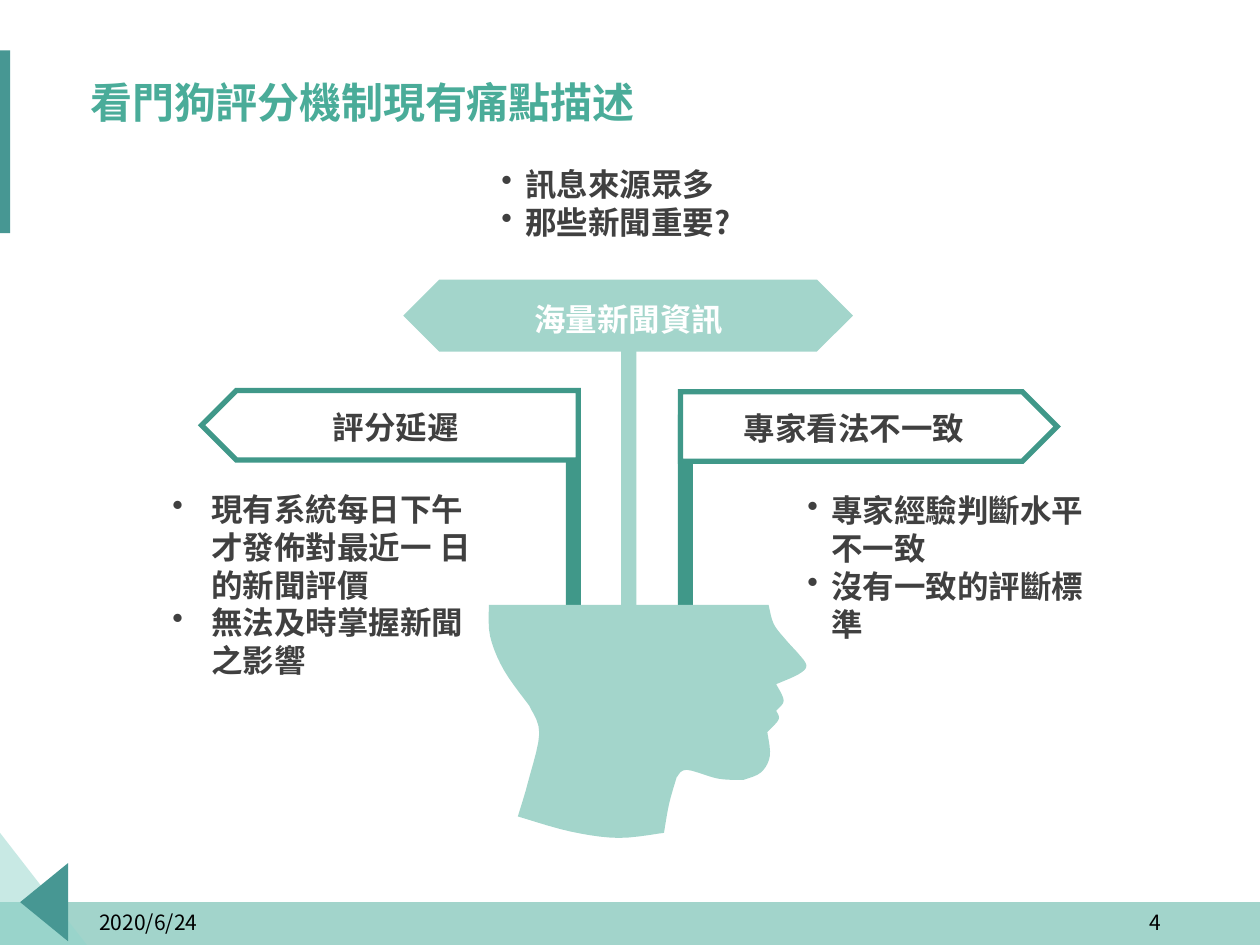
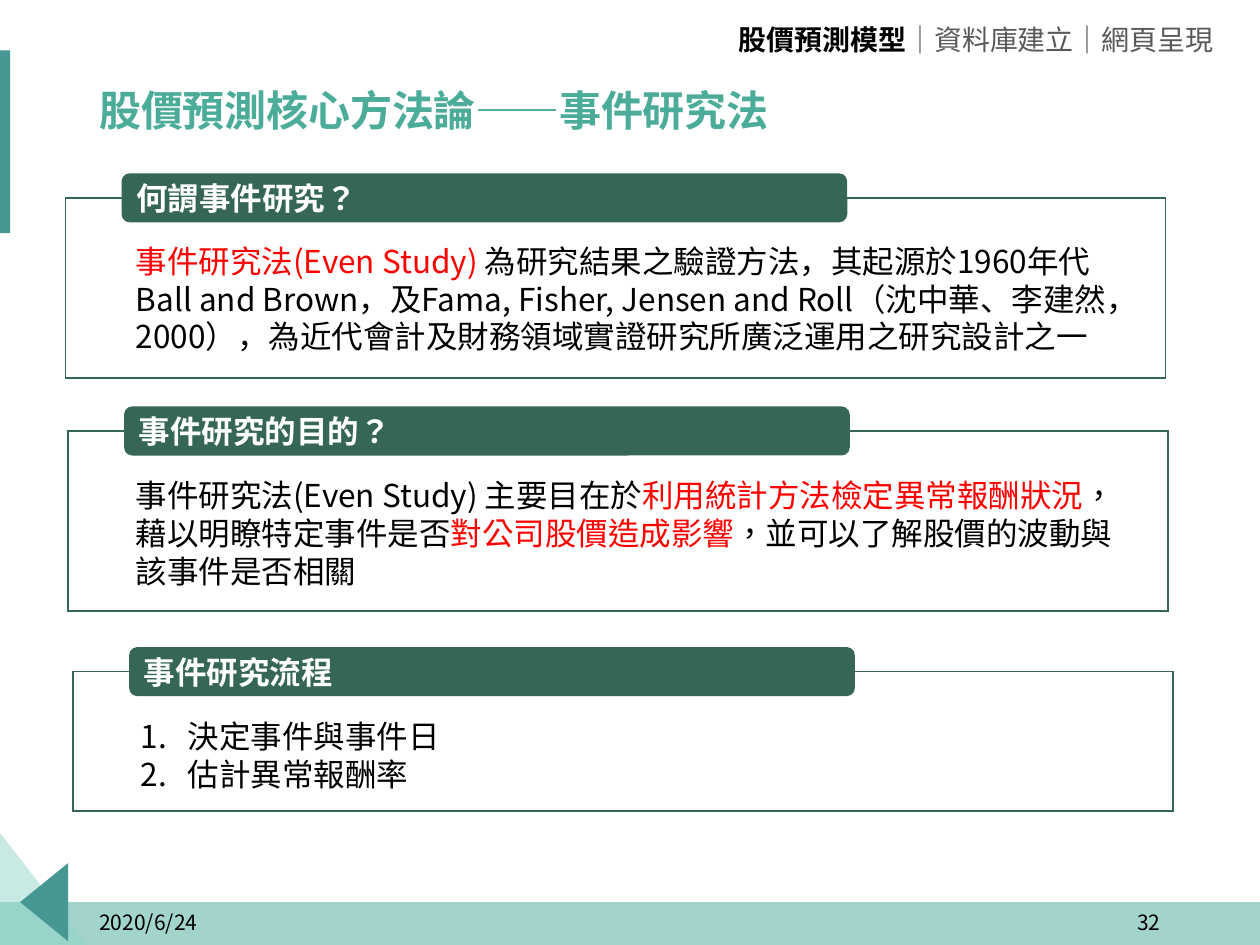
from dataclasses import dataclass
from typing import Optional

from lxml import etree
from pptx import Presentation
from pptx.dml.color import RGBColor
from pptx.enum.shapes import MSO_SHAPE
from pptx.enum.text import MSO_ANCHOR, PP_ALIGN
from pptx.oxml.ns import qn
from pptx.util import Inches, Pt

RECT, ROUNDED = MSO_SHAPE.RECTANGLE, MSO_SHAPE.ROUNDED_RECTANGLE
PENTAGON, HEXAGON = MSO_SHAPE.PENTAGON, MSO_SHAPE.HEXAGON
LEFT, CENTER, RIGHT = PP_ALIGN.LEFT, PP_ALIGN.CENTER, PP_ALIGN.RIGHT
TOP, MIDDLE = MSO_ANCHOR.TOP, MSO_ANCHOR.MIDDLE

# Grid: 100 columns by 75 rows
SLIDE_W, SLIDE_H = Inches(10), Inches(7.5)
COL, ROW = SLIDE_W / 100, SLIDE_H / 75

# Palette and fonts
MINT, TEAL, PALE, AQUA = "4AAC99", "479793", "A3D5CB", "92D4CB"
POST_GREEN, PANEL_GREEN = "409889", "356657"
BLACK, WHITE, INK, GREY, RED = "000000", "FFFFFF", "404040", "595959", "FF0000"
SC, TC = "Noto Sans CJK SC", "Noto Sans CJK TC"

Point = tuple[float, float]


@dataclass(frozen=True)
class Box:
    left: float
    top: float
    width: float
    height: float

    def emu(self) -> tuple[int, int, int, int]:
        return (round(self.left * COL), round(self.top * ROW),
                round(self.width * COL), round(self.height * ROW))


@dataclass(frozen=True)
class Style:
    size: float
    color: str
    font: str = TC
    bold: bool = False
    align: PP_ALIGN = LEFT
    anchor: MSO_ANCHOR = TOP
    spacing: Optional[float] = None
    tracking: int = 0
    bullet: str = ""
    indent: float = 0
    language: str = ""


@dataclass(frozen=True)
class Span:
    text: str
    color: Optional[str] = None
    font: Optional[str] = None
    bold: Optional[bool] = None


@dataclass(frozen=True)
class Sign:
    label: str
    label_middle: float
    label_color: str
    kind: MSO_SHAPE
    box: Box
    fill: str
    accent: str
    post: Box
    points: list
    points_box: Box
    indent: float = 1.9
    points_left: bool = False


@dataclass(frozen=True)
class Panel:
    left: float
    top: float
    height: float
    heading: str
    body: list
    body_box: Box
    body_style: Style


DATE = Style(12, BLACK, anchor=MIDDLE)
PAGE = Style(12, BLACK, align=RIGHT, anchor=MIDDLE)
SECTIONS = Style(16, GREY, align=RIGHT)
HEADING = Style(18, WHITE, bold=True, anchor=MIDDLE, language="zh-TW")
BODY = Style(18, BLACK)
BODY_TAIWAN = Style(18, BLACK, language="zh-TW")
STEPS = Style(18, BLACK, bullet="1.", indent=3.7)


# Drawing helpers
def rgb(value: str) -> RGBColor:
    return RGBColor.from_string(value)


def set_font(font, color: Optional[str], name: Optional[str], bold: Optional[bool]) -> None:
    if bold is not None:
        font.bold = bold
    if color:
        font.color.rgb = rgb(color)
    if name:
        font.name = name
        etree.SubElement(font._rPr, qn("a:ea"), typeface=name)


def set_bullet(paragraph, style: Style) -> None:
    props = paragraph._p.get_or_add_pPr()
    props.set("marL", str(round(style.indent * COL)))
    props.set("indent", str(-round(style.indent * COL)))
    if style.bullet == "1.":
        mark = etree.Element(qn("a:buAutoNum"), type="arabicPeriod")
    else:
        mark = etree.Element(qn("a:buChar"), char=style.bullet)
    props.insert(0, mark)


def write(shape, paragraphs: list, style: Style, wrap: bool = True) -> None:
    frame = shape.text_frame
    frame.word_wrap = wrap
    frame.vertical_anchor = style.anchor
    for index, spans in enumerate(paragraphs):
        paragraph = frame.add_paragraph() if index else frame.paragraphs[0]
        paragraph.alignment = style.align
        if style.spacing:
            paragraph.line_spacing = style.spacing
        paragraph.font.size = Pt(style.size)
        set_font(paragraph.font, style.color, style.font, style.bold)
        if style.tracking:
            paragraph.font._rPr.set("spc", str(style.tracking))
        if style.bullet:
            set_bullet(paragraph, style)
        for span in [Span(spans)] if isinstance(spans, str) else spans:
            run = paragraph.add_run()
            run.text = span.text
            set_font(run.font, span.color, span.font, span.bold)
            if style.language:
                run.font._rPr.set("lang", style.language)


def add_text(slide, box: Box, paragraphs: list, style: Style, wrap: bool = True) -> None:
    write(slide.shapes.add_textbox(*box.emu()), paragraphs, style, wrap)


def paint(shape, fill: Optional[str], line: Optional[str] = None,
          weight: float = 1, opacity: int = 100) -> None:
    shape.shadow.inherit = False
    if fill:
        shape.fill.solid()
        shape.fill.fore_color.rgb = rgb(fill)
    else:
        shape.fill.background()
    if opacity < 100:
        color = shape._element.spPr.find(qn("a:solidFill"))[0]
        etree.SubElement(color, qn("a:alpha"), val=str(opacity * 1000))
    if line:
        shape.line.color.rgb = rgb(line)
        shape.line.width = Pt(weight)
        outline = shape._element.spPr.find(qn("a:ln"))
        etree.SubElement(outline, qn("a:miter"), lim="800000")
    else:
        shape.line.fill.background()


def add_block(slide, kind: MSO_SHAPE, box: Box, fill: Optional[str], **look):
    shape = slide.shapes.add_shape(kind, *box.emu())
    paint(shape, fill, **look)
    return shape


def add_outline(slide, points: list[Point], fill: str, **look) -> None:
    corners = [(round(x * COL), round(y * ROW)) for x, y in points]
    builder = slide.shapes.build_freeform(*corners[0])
    builder.add_line_segments(corners[1:], close=True)
    paint(builder.convert_to_shape(), fill, **look)


def smooth(anchors: list[Point], steps: int = 5) -> list[Point]:
    """Points of a Catmull-Rom curve through the anchors, without the first anchor."""
    padded = [anchors[0], *anchors, anchors[-1]]
    curve = []
    for before, start, end, after in zip(padded, padded[1:], padded[2:], padded[3:]):
        for step in range(1, steps + 1):
            t = step / steps
            curve.append(tuple(
                b + ((c - a) * t + (2 * a - 5 * b + 4 * c - d) * t ** 2
                     + (3 * b - a - 3 * c + d) * t ** 3) / 2
                for a, b, c, d in zip(before, start, end, after)))
    return curve


# Shared title, bands and footer
def start_slide(deck, title: str, left: float, top: float, font: str, page: str):
    slide = deck.slides.add_slide(deck.slide_layouts[6])
    add_block(slide, RECT, Box(0, 71.6, 100, 3.4), MINT, opacity=51)
    add_outline(slide, [(0, 66.1), (6.9, 75), (0, 75)], AQUA, opacity=50)
    add_outline(slide, [(5.4, 68.5), (5.4, 74.7), (1.6, 71.6)], TEAL)
    add_block(slide, RECT, Box(-0.8, 4, 1.6, 14.5), TEAL)
    add_text(slide, Box(left, top, 86.2, 6.6), [title],
             Style(24, MINT, font, True, anchor=MIDDLE, spacing=0.9, tracking=-10))
    add_text(slide, Box(6.9, 71.2, 22.5, 4), ["2020/6/24"], DATE)
    add_text(slide, Box(70.6, 71.2, 22.5, 4), [page], PAGE)
    return slide


# Slide 1: head with three signposts
# Each curve of the profile starts where the one before it ends
CROWN = [(38.8, 48), (61, 48)]
PROFILE = {
    "forehead": [(61.4, 49.5), (62.3, 50.7), (63.3, 51.8)],
    "nose": [(64, 52.8), (63.4, 53.5), (61.6, 54.3)],
    "upper lip": [(62.2, 55.6), (61.6, 56.4)],
    "lower lip": [(61.8, 57.1), (60.9, 58.1)],
    "chin": [(61.1, 60), (60.4, 61.3), (59, 61.9)],
    "jaw": [(57, 61.8), (54.5, 61.1), (53.7, 61.7)],
    "throat": [(53.1, 63.8), (52.7, 66.1)],
    "neckline": [(49.1, 66.5), (45.3, 66), (41.1, 64.8)],
    "nape": [(41.9, 62.1), (42.8, 58.2), (42, 56)],
    "back of head": [(40, 53.2), (38.9, 50.5), (38.8, 48)],
}

SIGNS = [
    Sign("專家看法不一致", 67.8, INK, PENTAGON, Box(54, 31.1, 29.9, 5.5), WHITE, POST_GREEN,
         Box(53.8, 32.9, 1.2, 18.9),
         ["專家經驗判斷⽔平 不⼀致", "沒有一致的評斷標準"], Box(63.1, 38.5, 24.4, 16.2)),
    Sign("海量新聞資訊", 49.9, WHITE, HEXAGON, Box(32.3, 22.4, 35.1, 5.3), PALE, PALE,
         Box(49.3, 27.6, 1.2, 22.5),
         ["訊息來源眾多", "那些新聞重要?"], Box(38.8, 12.6, 31.8, 7.1)),
    Sign("評分延遲", 31.4, INK, PENTAGON, Box(16, 31, 29.9, 5.5), WHITE, POST_GREEN,
         Box(44.9, 31.1, 1.2, 18.9),
         ["現有系統每⽇下午才發佈對最近⼀ ⽇的新聞評價", "無法及時掌握新聞之影響"],
         Box(12.7, 38.4, 26.1, 16.2), indent=3.1, points_left=True),
]


def add_head(slide) -> None:
    outline = list(CROWN)
    for curve in PROFILE.values():
        outline += smooth([outline[-1], *curve])
    add_outline(slide, outline, PALE)


def add_sign(slide, sign: Sign) -> None:
    board = add_block(slide, sign.kind, sign.box, sign.fill, line=sign.accent, weight=3)
    board.adjustments[0] = 0.5
    if sign.points_left:
        board._element.spPr.find(qn("a:xfrm")).set("flipH", "1")
    add_text(slide, Box(sign.label_middle - 12, sign.box.top + 0.9, 24, 4), [sign.label],
             Style(18, sign.label_color, SC, True, CENTER))
    add_text(slide, sign.points_box, sign.points,
             Style(18, INK, SC, True, bullet="•", indent=sign.indent))


def build_pain_points(deck) -> None:
    slide = start_slide(deck, "看門狗評分機制現有痛點描述", 6.2, 5, SC, "4")
    for sign in SIGNS:
        add_block(slide, RECT, sign.post, sign.accent)
    add_head(slide)
    for sign in SIGNS:
        add_sign(slide, sign)


# Slide 2: three titled panels
PANELS = [
    Panel(5.2, 15.7, 14.3, "何謂事件研究？", [[
        Span("事件研究法(Even Study) ", RED),
        Span("為研究結果之驗證方法，其起源於1960年代 Ball and Brown，及Fama, Fisher, "
             "Jensen and Roll（沈中華、李建然，2000），為近代會計及財務領域實證研究所"
             "廣泛運用之研究設計之一"),
    ]], Box(9.8, 18.7, 81.8, 10.1), BODY),
    Panel(5.4, 34.2, 14.3, "事件研究的目的？", [[
        Span("事件研究法(Even Study) 主要目在於"),
        Span("利用統計方法檢定異常報酬狀況", RED),
        Span("，藉以明瞭特定事件是否"),
        Span("對公司股價造成影響", RED),
        Span("，並可以了解股價的波動與該事件是否相關"),
    ]], Box(9.8, 37.3, 81.8, 10.1), BODY_TAIWAN),
    Panel(5.8, 53.3, 11.1, "事件研究流程", ["決定事件與事件日", "估計異常報酬率"],
          Box(10.2, 56.4, 71.2, 7.1), STEPS),
]


def add_panel(slide, panel: Panel) -> None:
    add_block(slide, RECT, Box(panel.left, panel.top, 87.3, panel.height), None,
              line=PANEL_GREEN)
    tab = add_block(slide, ROUNDED, Box(panel.left + 4.45, panel.top - 1.95, 57.6, 3.9),
                    PANEL_GREEN)
    write(tab, [panel.heading], HEADING)
    add_text(slide, panel.body_box, panel.body, panel.body_style)


def build_event_study(deck) -> None:
    slide = start_slide(deck, "股價預測核心方法論——事件研究法", 6.9, 5.7, TC, "32")
    divider = Span("｜", font=SC)
    add_text(slide, Box(57.1, 1.3, 40.2, 3.7),
             [[Span("股價預測模型", BLACK, bold=True), divider, Span("資料庫建立"),
               divider, Span("網頁呈現")]], SECTIONS, wrap=False)
    for panel in PANELS:
        add_panel(slide, panel)


def main() -> None:
    deck = Presentation()
    deck.slide_width, deck.slide_height = SLIDE_W, SLIDE_H
    build_pain_points(deck)
    build_event_study(deck)
    deck.save("out.pptx")


if __name__ == "__main__":
    main()
